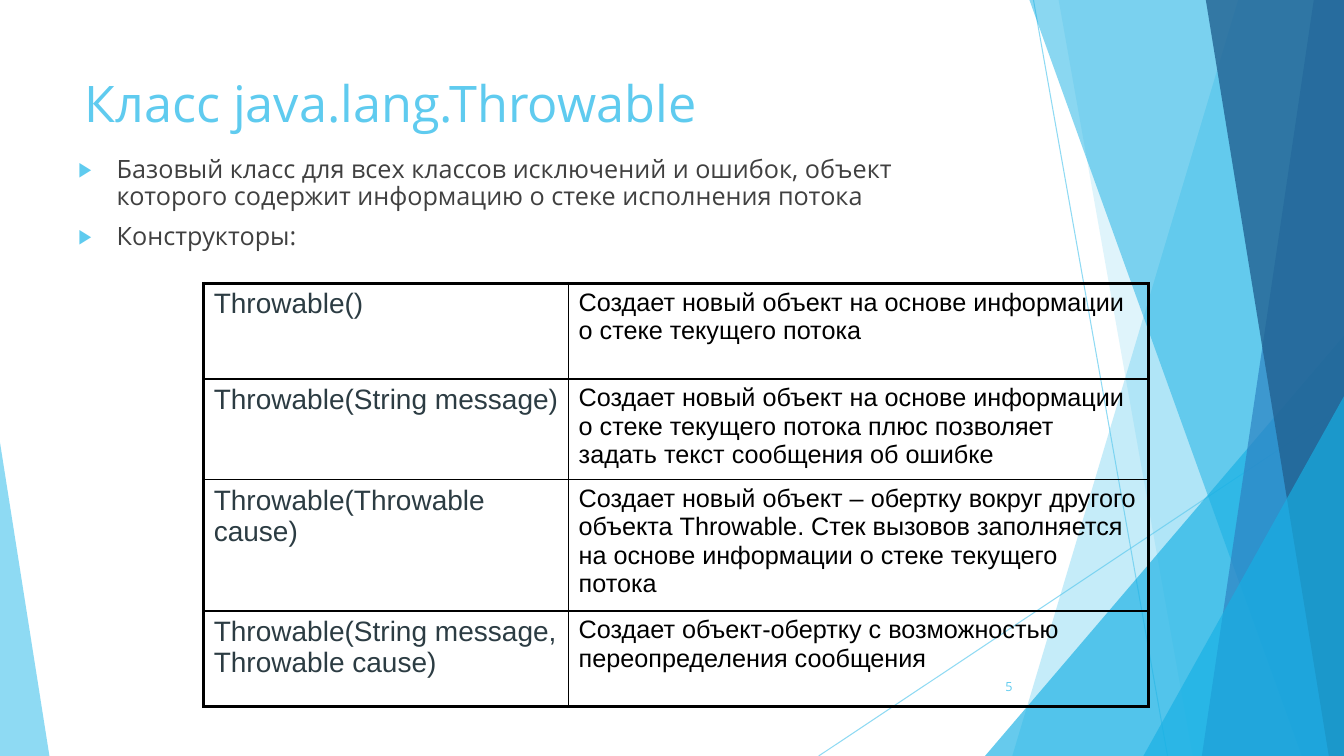
from lxml import etree
from pptx import Presentation, util as u
from pptx.dml.color import RGBColor
from pptx.enum import shapes, text
from pptx.oxml import parse_xml
from pptx.oxml.ns import nsdecls, qn

COLORS = {"sky": "5FCBEF", "cyan": "17B0E4", "blue": "2E83C3", "navy": "226292",
          "body": "404040", "code": "2C3C43", "black": "000000"}
W, H = 13.33, 7.5


class Deck:
    """Holds the fonts, the colours and the current slide."""

    heading, table_font = "Open Sans", "Arial"

    def __init__(self, prs):
        self.s = prs.slides.add_slide(prs.slide_layouts[6])

    def rgb(self, name):
        return RGBColor.from_string(COLORS[name])

    def alpha(self, fmt, percent):
        clr = fmt._xPr.find(".//" + qn("a:srgbClr"))
        etree.SubElement(clr, qn("a:alpha")).set("val", str(percent * 1000))

    def paint(self, sp, color, percent):
        sp.shadow.inherit = False
        sp.fill.solid()
        sp.fill.fore_color.rgb = self.rgb(color)
        self.alpha(sp.fill, percent)
        sp.line.fill.background()

    def line(self, *ends):
        c = self.s.shapes.add_connector(shapes.MSO_CONNECTOR.STRAIGHT, *map(u.Inches, ends))
        c.line.width = u.Pt(0.75)
        c.line.color.rgb = self.rgb("sky")
        self.alpha(c.line.fill, 70)
        etree.SubElement(c._element.spPr, qn("a:effectLst"))

    def band(self, top_left, bottom_left, color, percent):
        points = [(top_left, 0), (W, 0), (W, H), (bottom_left, H)]
        points = [(u.Inches(x), u.Inches(y)) for x, y in points]
        fb = self.s.shapes.build_freeform(*points[0])
        fb.add_line_segments(points[1:], close=True)
        self.paint(fb.convert_to_shape(), color, percent)

    def triangle(self, left, top, width, apex, color, percent):
        sp = self.s.shapes.add_shape(shapes.MSO_SHAPE.ISOSCELES_TRIANGLE,
                                     *map(u.Inches, (left, top, width, H - top)))
        sp.adjustments[0] = apex
        self.paint(sp, color, percent)

    def run(self, p, words, size, color, font):
        r = p.add_run()
        r.text = words
        r.font.size, r.font.name = u.Pt(size), font
        r.font.color.rgb = self.rgb(color)

    def textbox(self, box, lines, size, color, align=text.PP_ALIGN.LEFT,
                anchor=text.MSO_ANCHOR.TOP, bullets=False):
        tf = self.s.shapes.add_textbox(*map(u.Inches, box)).text_frame
        tf.word_wrap = True
        tf.vertical_anchor = anchor
        for i, words in enumerate(lines):
            p = tf.add_paragraph() if i else tf.paragraphs[0]
            p.alignment = align
            self.run(p, words, size, color, self.heading)
            if bullets:
                self.bullet(p, first=i == 0)

    def bullet(self, p, first):
        p.line_spacing = 0.88
        p.space_before = u.Pt(0 if first else 10)
        pPr = p._p.get_or_add_pPr()
        pPr.set("marL", str(u.Inches(0.38)))
        pPr.set("indent", str(u.Inches(-0.38)))
        for xml in (f'<a:buClr {nsdecls("a")}><a:srgbClr val="{COLORS["sky"]}"/></a:buClr>',
                    f'<a:buSzPct {nsdecls("a")} val="80000"/>',
                    f'<a:buFont {nsdecls("a")} typeface="{self.heading}"/>',
                    f'<a:buChar {nsdecls("a")} char="▶"/>'):
            pPr.append(parse_xml(xml))

    def borders(self, cell, widths):
        tcPr = cell._tc.get_or_add_tcPr()
        for i, (side, width) in enumerate(zip("LRTB", widths)):
            tcPr.insert(i, parse_xml(
                f'<a:ln{side} {nsdecls("a")} w="{u.Pt(width)}"><a:solidFill>'
                f'<a:srgbClr val="{COLORS["black"]}"/></a:solidFill></a:ln{side}>'))

    def table(self, left, top, cols, heights, rows, styles):
        box = map(u.Inches, (left, top, sum(cols), sum(heights)))
        tbl = self.s.shapes.add_table(len(rows), len(cols), *box).table
        tbl.first_row = tbl.horz_banding = False
        for j, width in enumerate(cols):
            tbl.columns[j].width = u.Inches(width)
        for i, row in enumerate(rows):
            tbl.rows[i].height = u.Inches(heights[i])
            for j, words in enumerate(row):
                cell = tbl.cell(i, j)
                cell.fill.background()
                outer = (j == 0, j == len(cols) - 1, i == 0, i == len(rows) - 1)
                self.borders(cell, [2.25 if edge else 1 for edge in outer])
                self.run(cell.text_frame.paragraphs[0], words, *styles[j], self.table_font)


prs = Presentation()
prs.slide_width, prs.slide_height = u.Inches(W), u.Inches(H)
deck = Deck(prs)

deck.line(10.25, 0, 11.58, H)
deck.line(W, 4.03, 8.12, H)
deck.band(12.28, 10.04, "sky", 36)
deck.band(10.5, 11.83, "sky", 20)
deck.triangle(9.77, 3.33, 3.56, 1, "cyan", 66)
deck.band(10.21, 12.91, "cyan", 50)
deck.band(13.03, 11.92, "blue", 70)
deck.band(11.96, 13.18, "navy", 80)
deck.triangle(11.34, 3.93, 1.99, 1, "cyan", 66)
deck.triangle(0, 4.39, 0.49, 0, "sky", 70)

deck.textbox((9.39, 6.61, 0.75, 0.4), ["5"], 9, "sky",
             text.PP_ALIGN.RIGHT, text.MSO_ANCHOR.MIDDLE)
deck.textbox((0.74, 0.67, 9.4, 1.44), ["Класс java.lang.Throwable"], 36, "sky")
deck.textbox((0.68, 1.51, 9.3, 4.24), [
    "Базовый класс для всех классов исключений и ошибок, объект "
    "которого содержит информацию о стеке исполнения потока",
    "Конструкторы:"], 18, "body", bullets=True)

constructors = [
    ("Throwable()",
     "Создает новый объект на основе информации о стеке текущего потока"),
    ("Throwable(String message)",
     "Создает новый объект на основе информации о стеке текущего потока "
     "плюс позволяет задать текст сообщения об ошибке"),
    ("Throwable(Throwable cause)",
     "Создает новый объект – обертку вокруг другого объекта Throwable. "
     "Стек вызовов заполняется на основе информации о стеке текущего потока"),
    ("Throwable(String message, Throwable cause)",
     "Создает объект-обертку с возможностью переопределения сообщения"),
]
deck.table(2.02, 2.81, (3.62, 5.75), (0.95, 0.95, 1.22, 0.95), constructors,
           ((20, "code"), (18, "black")))

prs.save("out.pptx")
